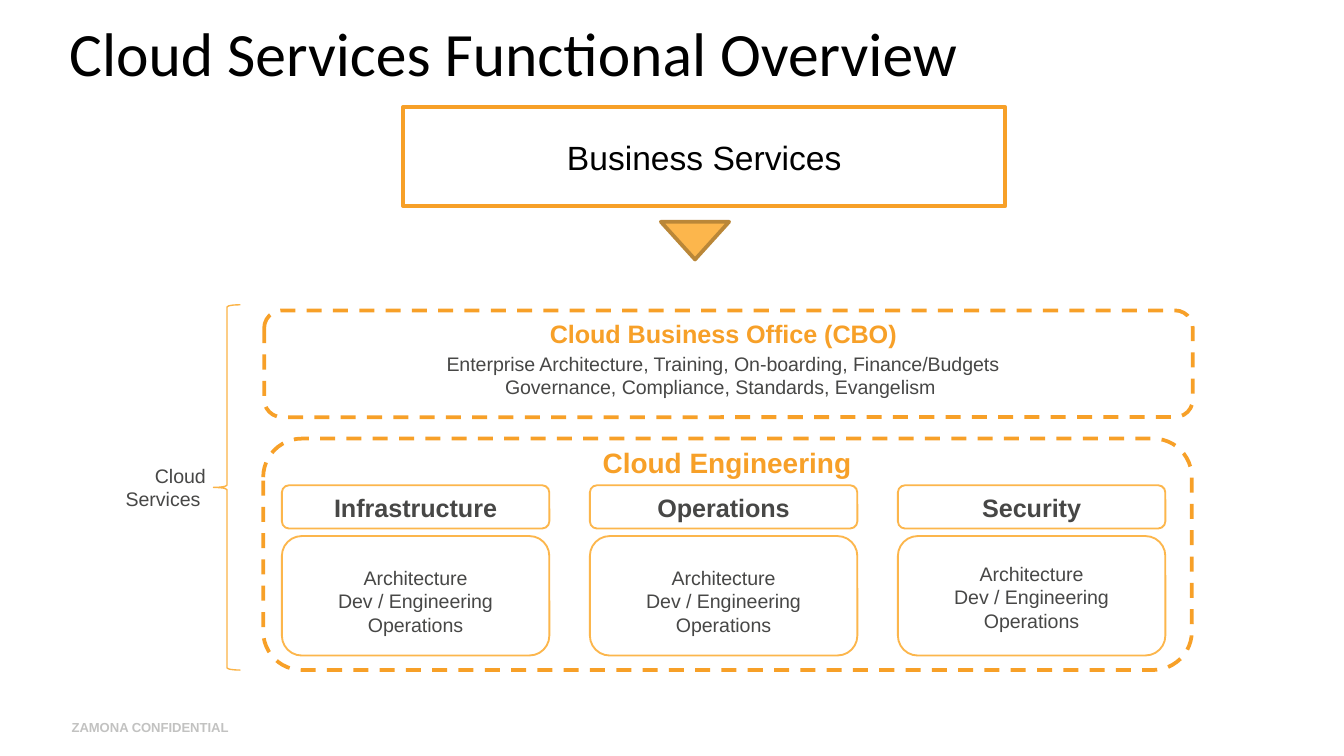
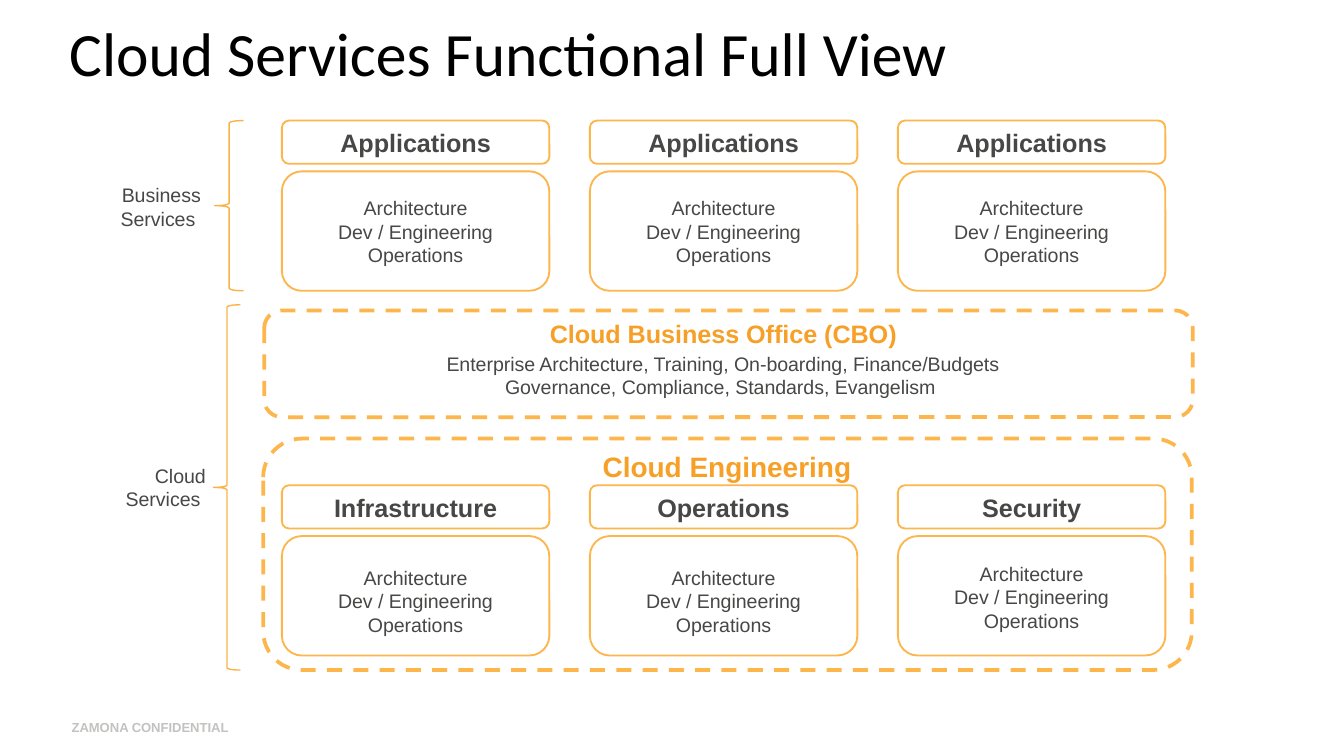
from pptx import Presentation
from pptx.dml.color import RGBColor
from pptx.enum.dml import MSO_LINE
from pptx.enum.shapes import MSO_SHAPE
from pptx.enum.text import MSO_ANCHOR, MSO_AUTO_SIZE, PP_ALIGN
from pptx.util import Pt

RECT = MSO_SHAPE.RECTANGLE
ROUND = MSO_SHAPE.ROUNDED_RECTANGLE
BRACE = MSO_SHAPE.LEFT_BRACE
ARROW = MSO_SHAPE.ISOSCELES_TRIANGLE
DASH = MSO_LINE.DASH
LEFT, CENTER, RIGHT = PP_ALIGN.LEFT, PP_ALIGN.CENTER, PP_ALIGN.RIGHT
MIDDLE = MSO_ANCHOR.MIDDLE
GROW = MSO_AUTO_SIZE.SHAPE_TO_FIT_TEXT

ORANGE = RGBColor(0xF7, 0xA0, 0x28)
AMBER = RGBColor(0xFC, 0xB6, 0x4C)
HONEY = RGBColor(0xFB, 0xB3, 0x46)
BROWN = RGBColor(0xBA, 0x87, 0x38)
GRAY = RGBColor(0x47, 0x47, 0x46)
SILVER = RGBColor(0xC2, 0xC2, 0xC1)
BLACK = RGBColor(0, 0, 0)

HEAD, BODY = 13.5, 10.5
COL_X, COL_W, COL_STEP = 151, 143.3, 165
TASKS = ("Architecture", "Dev / Engineering", "Operations")
TEAMS = (("Infrastructure", 103, 0), ("Operations", 86.4, 0), ("Security", 68.4, 2))


def write(frame, lines, size, color, bold=False, align=CENTER, font="Arial"):
    frame.word_wrap = True
    for i, line in enumerate(lines):
        para = frame.paragraphs[0] if i == 0 else frame.add_paragraph()
        para.text = line
        para.alignment = align
        para.font.name = font
        para.font.size = Pt(size)
        para.font.bold = bold
        para.font.color.rgb = color


def label(slide, at, lines, size, color, **style):
    box = slide.shapes.add_textbox(*map(Pt, at))
    write(box.text_frame, lines, size, color, **style)
    box.text_frame.auto_size = GROW
    return box.text_frame


def outline(slide, kind, at, color, width, dash=None):
    shape = slide.shapes.add_shape(kind, *map(Pt, at))
    shape.shadow.inherit = False
    shape.fill.background()
    shape.line.color.rgb = color
    shape.line.width = Pt(width)
    if dash:
        shape.line.dash_style = dash
    return shape


def add_page(deck, title):
    slide = deck.slides.add_slide(deck.slide_layouts[6])
    foot = label(slide, (38.4, 385.2, 238, 8.6), ["ZAMONA CONFIDENTIAL"], 7, SILVER,
                 bold=True, align=LEFT)
    foot.margin_left = foot.margin_right = foot.margin_top = foot.margin_bottom = 0
    head = label(slide, (30, -3, 620.6, 66.2), [title], 33, BLACK, align=LEFT, font="Calibri")
    head.auto_size = MSO_AUTO_SIZE.NONE
    head.vertical_anchor = MIDDLE
    head.paragraphs[0].line_spacing = 0.9
    return slide


def add_column(slide, col, top, name, name_w, task_y, task_w):
    x = COL_X + col * COL_STEP
    mid = x + COL_W / 2
    outline(slide, ROUND, (x, top, COL_W, 23.2), AMBER, 1)
    outline(slide, ROUND, (x, top + 27.2, COL_W, 64), AMBER, 1)
    label(slide, (mid - name_w / 2, top, name_w, 23.6), [name], HEAD, GRAY, bold=True)
    label(slide, (mid - task_w / 2, task_y, task_w, 45.4), TASKS, BODY, GRAY)


def add_group(slide, brace, name_at, name):
    outline(slide, BRACE, brace, HONEY, 0.75)
    label(slide, name_at, [name], BODY, GRAY, align=RIGHT)


def add_cloud(slide, color, head_y):
    outline(slide, ROUND, (141.5, 166.3, 497.5, 57.2), color, 2, DASH)
    label(slide, (151, 167, 473, 23.6), ["Cloud Business Office (CBO)"], HEAD, ORANGE, bold=True)
    label(slide, (151, 185, 473, 32.4),
          ["Enterprise Architecture, Training, On-boarding, Finance/Budgets",
           "Governance, Compliance, Standards, Evangelism "], BODY, GRAY)
    for col, (name, width, lift) in enumerate(TEAMS):
        add_column(slide, col, 260, name, width, 299.5 - lift, 126)
    label(slide, (141.5, head_y, 496, 25.4), ["Cloud Engineering"], 15, ORANGE, bold=True)
    add_group(slide, (114.4, 163.3, 14.4, 195.7), (49.7, 245, 67.7, 32.4), "Cloud Services ")
    outline(slide, ROUND, (141, 235, 497.5, 124), color, 2, DASH)


def add_overview(deck):
    slide = add_page(deck, "Cloud Services Functional Overview")
    add_cloud(slide, ORANGE, 235.2)
    box = outline(slide, RECT, (216, 57.3, 322.5, 53.2), ORANGE, 2)
    write(box.text_frame, ["Business Services"], 18, BLACK)
    box.text_frame.vertical_anchor = MIDDLE
    arrow = outline(slide, ARROW, (354, 118.8, 36.6, 20.2), BROWN, 2)
    arrow.rotation = 180
    arrow.fill.solid()
    arrow.fill.fore_color.rgb = AMBER


def add_full(deck):
    slide = add_page(deck, "Cloud Services Functional Full View")
    add_cloud(slide, AMBER, 237.2)
    for col in range(3):
        add_column(slide, col, 64.6, "Applications", COL_W, 101.6, COL_W)
    add_group(slide, (115, 64.6, 15.6, 91.2), (47, 94.5, 67.7, 32.4), "Business Services ")


def main():
    deck = Presentation()
    deck.slide_width, deck.slide_height = Pt(720), Pt(405)
    add_overview(deck)
    add_full(deck)
    deck.save("out.pptx")


if __name__ == "__main__":
    main()
